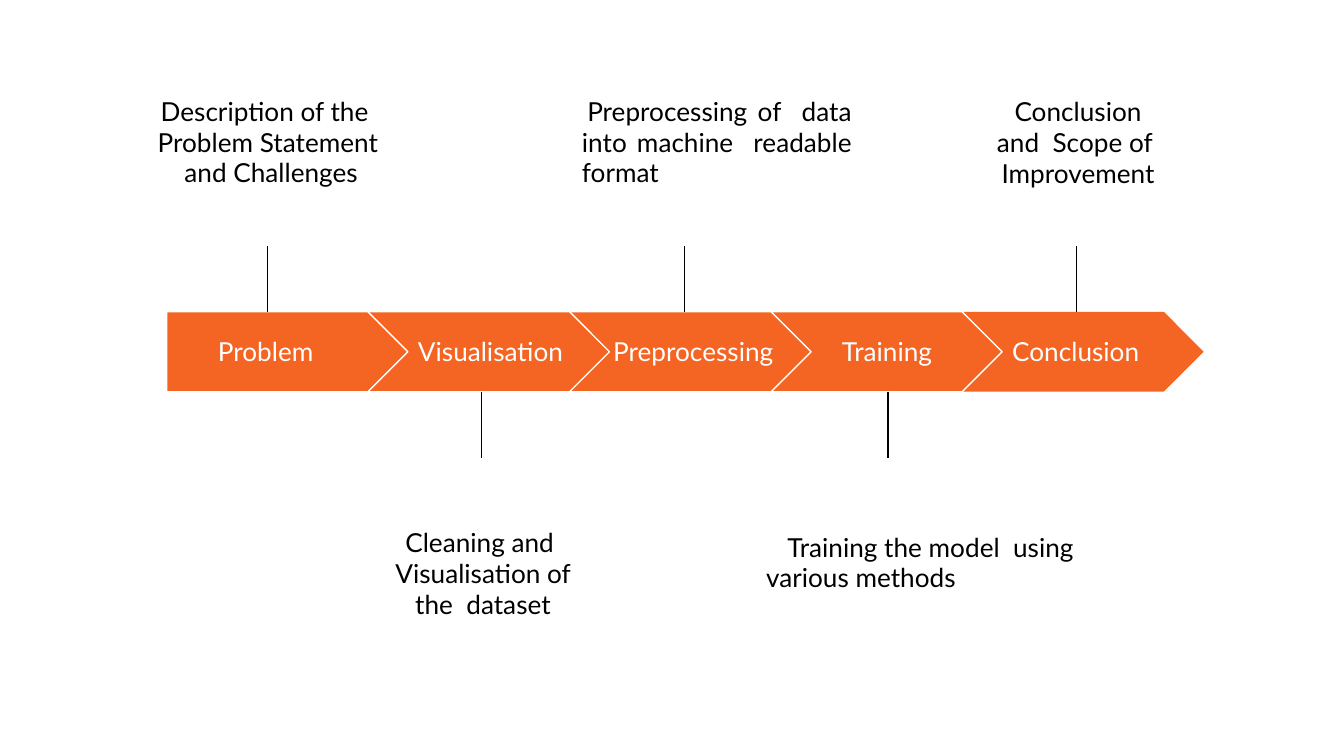
from lxml.etree import SubElement
from pptx import Presentation
from pptx.dml.color import RGBColor
from pptx.enum.shapes import MSO_CONNECTOR, MSO_SHAPE
from pptx.enum.text import MSO_ANCHOR, MSO_AUTO_SIZE, PP_ALIGN as AL
from pptx.oxml.ns import qn
from pptx.util import Cm, Pt

COLORS = {"arrow": "F46423", "edge": "FFFFFF", "label": "FFFFFF", "text": "000000"}

# label, label left, chevron left, stem x, stem side (cm)
STEP = 3.81
STAGES = [
    ("Problem", 4.12, 3.15, 5.06, "up"),
    ("Visualisation", 7.9, 3.15 + STEP, 9.1, "down"),
    ("Preprocessing", 11.59, 3.15 + 2 * STEP, 12.94, "up"),
    ("Training", 15.91, 14.38, 16.78, "down"),
    ("Conclusion", 19.13, 14.38 + STEP, 20.34, "up"),
]

# text, (left, top, width, height), alignment, first-line indent (cm)
NOTES = [
    ("Description of the  Problem Statement  and Challenges",
     (2.93, 1.73, 4.27, 1.83), AL.CENTER, 0),
    ("Preprocessing of  data into machine  readable format",
     (11, 1.73, 5.1, 1.85), AL.JUSTIFY, 0.1),
    ("Cleaning and  Visualisation of the  dataset",
     (7.16, 9.88, 3.94, 1.83), AL.CENTER, 0),
    ("Training the model  using various methods",
     (14.48, 9.96, 6, 1.24), AL.LEFT, 0.4),
]
TITLE = ("Conclusion and  Scope of  Improvement",
         (18.76, 1.73, 3.23, 1.83), AL.CENTER, 0)

BAND_TOP, BAND_H, CHEVRON_W, STEM = 5.89, 1.51, 4.56, 1.25


def rgb(name):
    return RGBColor.from_string(COLORS[name])


def write(sp, text, box, color, align=AL.LEFT, inset=0.08, indent=0, spacing=None):
    sp.left, sp.top, sp.width, sp.height = map(Cm, box)
    tf = sp.text_frame
    tf.word_wrap = True
    tf.auto_size = MSO_AUTO_SIZE.NONE
    tf.vertical_anchor = MSO_ANCHOR.TOP
    tf.margin_left = tf.margin_right = tf.margin_bottom = 0
    tf.margin_top = Cm(inset)
    p = tf.paragraphs[0]
    p.text = text
    p.alignment = align
    p.space_before = Pt(0)
    if spacing:
        p.line_spacing = spacing
    if indent:
        pPr = p._p.get_or_add_pPr()
        pPr.set("marL", "0")
        pPr.set("indent", str(Cm(indent)))
    p.font.name, p.font.size = "Lato", Pt(14)
    p.font.color.rgb = rgb(color)


def write_note(sp, text, box, align, indent):
    write(sp, text, box, "text", align, indent=indent, spacing=Pt(16.5))


prs = Presentation()
prs.slide_width, prs.slide_height = Cm(25.4), Cm(14.28)
s = prs.slides.add_slide(prs.slide_layouts[5])
shapes = s.shapes

# Chevron band, right to left so each tip overlaps the next stage
for i, (_, _, left, _, _) in reversed(list(enumerate(STAGES))):
    sp = shapes.add_shape(MSO_SHAPE.PENTAGON, Cm(left), Cm(BAND_TOP),
                          Cm(CHEVRON_W), Cm(BAND_H))
    sp.shadow.inherit = False
    sp.fill.solid()
    sp.fill.fore_color.rgb = rgb("arrow")
    if i == len(STAGES) - 1:
        sp.line.fill.background()
    else:
        sp.line.color.rgb = rgb("edge")
        sp.line.width = Pt(0.75)

# Stems and stage labels
for label, label_left, _, x, side in STAGES:
    start = BAND_TOP if side == "up" else BAND_TOP + BAND_H
    end = start - STEM if side == "up" else start + STEM
    stem = shapes.add_connector(MSO_CONNECTOR.STRAIGHT, Cm(x), Cm(start), Cm(x), Cm(end))
    stem.line.color.rgb = rgb("text")
    stem.line.width = Pt(0.75)
    SubElement(stem._element.spPr, qn("a:effectLst"))
    write(shapes.add_textbox(0, 0, 0, 0), label,
          (label_left, 6.3, 3.6, 0.66), "label", inset=0.03)

# Notes, the last one being the title
for note in NOTES:
    write_note(shapes.add_textbox(0, 0, 0, 0), *note)
write_note(shapes.title, *TITLE)

prs.save("out.pptx")
